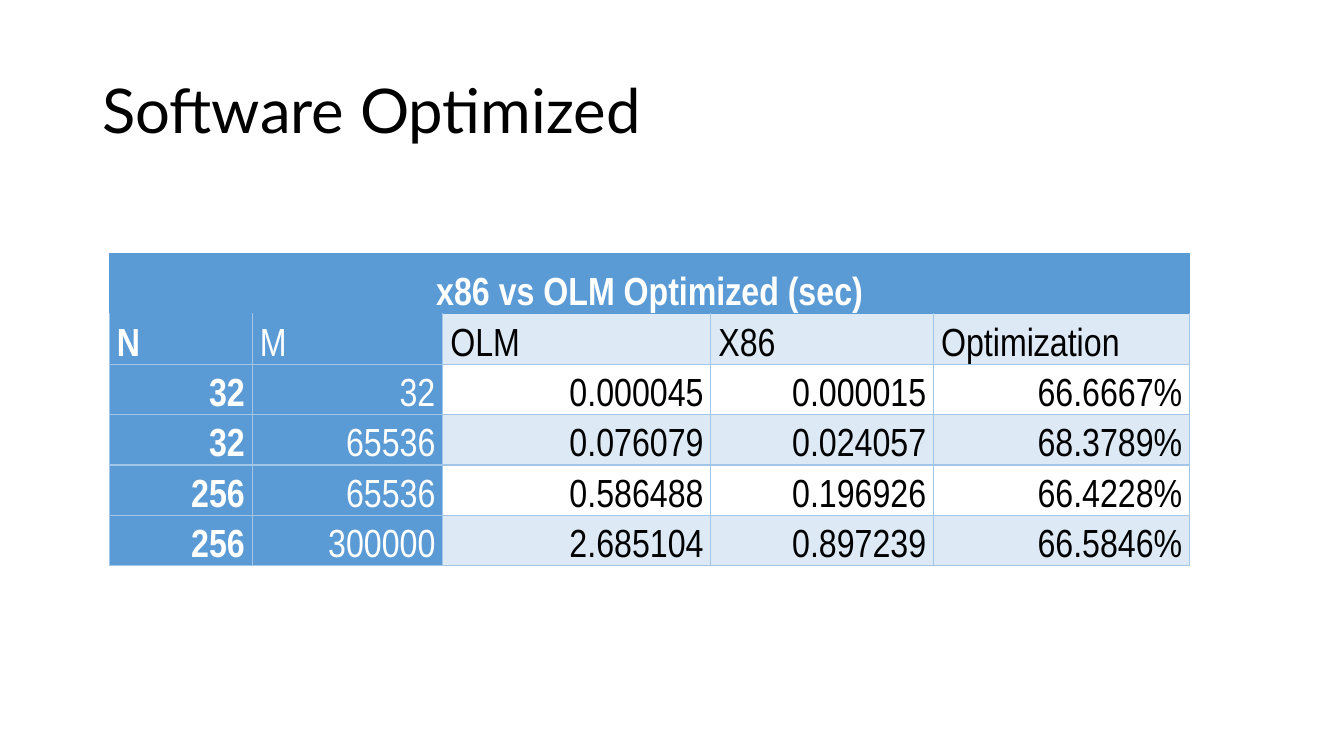
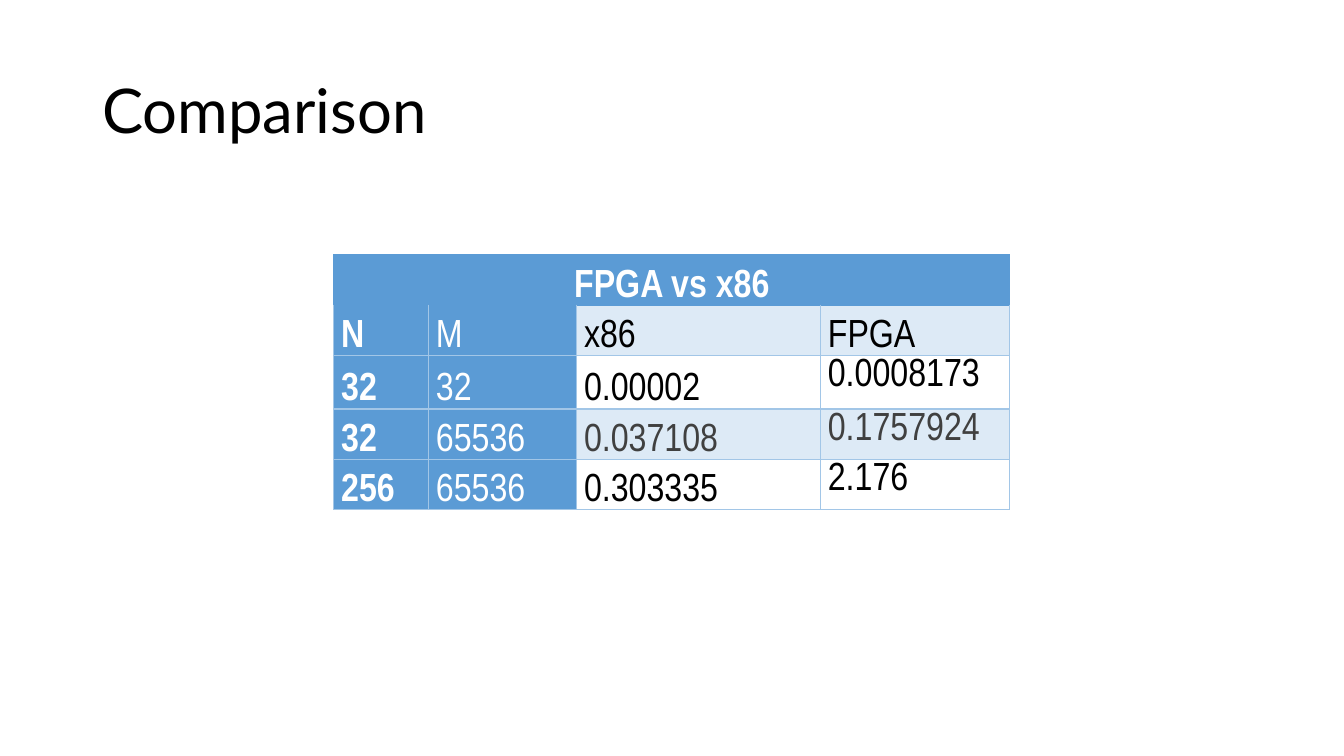
from lxml.etree import SubElement
from pptx import Presentation
from pptx.dml.color import RGBColor
from pptx.enum.text import MSO_ANCHOR, PP_ALIGN
from pptx.oxml.ns import qn
from pptx.util import Pt

HUES = {
    "blue": "5B9BD5",
    "pale": "DDEAF6",
    "line": "A2C6E7",
    "white": "FFFFFF",
    "black": "000000",
    "grey": "404040",
}
KEYS = 2  # leading columns that label each row


class Deck:
    def __init__(self):
        self.prs = Presentation()
        self.prs.slide_width, self.prs.slide_height = Pt(960), Pt(540)
        self.slide = None

    def page(self, title):
        self.slide = self.prs.slides.add_slide(self.prs.slide_layouts[6])
        box = self.slide.shapes.add_textbox(Pt(66), Pt(28.8), Pt(828), Pt(104.4))
        frame = box.text_frame
        frame.word_wrap = True
        frame.vertical_anchor = MSO_ANCHOR.MIDDLE
        para = frame.paragraphs[0]
        para.text = title
        para.line_spacing = 0.9
        self.font(para, "Lato", 44, "black")

    def font(self, para, name, size, hue, bold=False):
        font = para.font
        font.name, font.size, font.bold = name, Pt(size), bold
        font.color.rgb = RGBColor.from_string(HUES[hue])

    def edge(self, cell, **hues):
        """Draw the cell's borders; must run before the cell is filled."""
        props = cell._tc.get_or_add_tcPr()
        for side in "LRTB":
            line = SubElement(props, qn(f"a:ln{side}"), w=str(Pt(1)))
            fill = SubElement(line, qn("a:solidFill"))
            hue = HUES[hues.get(side, "line")]
            SubElement(fill, qn("a:srgbClr"), val=hue)

    def cell(self, cell, text, fill, hue, bold, align, anchor):
        cell.fill.solid()
        cell.fill.fore_color.rgb = RGBColor.from_string(HUES[fill])
        cell.margin_left = cell.margin_right = Pt(5.4)
        cell.margin_top = cell.margin_bottom = 0
        cell.vertical_anchor = anchor
        para = cell.text_frame.paragraphs[0]
        para.text = text
        para.alignment = align
        para.line_spacing = 1.07
        self.font(para, "Arial Narrow", 28, hue, bold)

    def table(self, left, top, cols, highs, title, rows,
              align=PP_ALIGN.LEFT, high_col=None, grey_row=None):
        """Add a titled grid; high_col is top-aligned, grey_row has grey values."""
        grid = [[title] + [""] * (len(cols) - 1)] + rows
        table = self.slide.shapes.add_table(
            len(grid), len(cols), Pt(left), Pt(top), Pt(sum(cols)), Pt(sum(highs))
        ).table
        table.first_row = table.horz_banding = False
        for col, width in zip(table.columns, cols):
            col.width = Pt(width)
        for row, high in zip(table.rows, highs):
            row.height = Pt(high)
        for r, row in enumerate(grid):
            for c, text in enumerate(row):
                cell = table.cell(r, c)
                key = r == 0 or c < KEYS
                body = r > 1
                fill = "blue" if key else "pale" if r % 2 else "white"
                hue = "white" if key else "grey" if r == grey_row else "black"
                if r == 0:
                    self.edge(cell, **dict.fromkeys("LRTB", "blue"))
                else:
                    self.edge(cell, T="line" if body else "blue")
                side = PP_ALIGN.CENTER if r == 0 else align if body else PP_ALIGN.LEFT
                high = body and c == high_col
                anchor = MSO_ANCHOR.TOP if high else MSO_ANCHOR.BOTTOM
                self.cell(cell, text, fill, hue, r == 0 or c == 0, side, anchor)
        table.cell(0, 0).merge(table.cell(0, len(cols) - 1))


def main():
    deck = Deck()
    deck.page("Software Optimized")
    deck.table(
        78, 181, [102.2, 136.1, 191.5, 159.1, 182.9], [43.2, 33.1] + [31.7] * 4,
        "x86 vs OLM Optimized (sec)",
        [
            ["Ν", "Μ", "OLM", "X86", "Optimization"],
            ["32", "32", "0.000045", "0.000015", "66.6667%"],
            ["32", "65536", "0.076079", "0.024057", "68.3789%"],
            ["256", "65536", "0.586488", "0.196926", "66.4228%"],
            ["256", "300000", "2.685104", "0.897239", "66.5846%"],
        ],
        align=PP_ALIGN.RIGHT,
    )
    deck.page("Comparison")
    deck.table(
        238.3, 182, [67.7, 105.8, 174.2, 135.4], [31.7, 31.7, 38.2, 31.7, 31.7],
        "FPGA vs x86",
        [
            ["Ν", "Μ", "x86", "FPGA"],
            ["32", "32", "0.00002", "0.0008173"],
            ["32", "65536", "0.037108", "0.1757924"],
            ["256", "65536", "0.303335", "2.176"],
        ],
        high_col=3, grey_row=3,
    )
    deck.prs.save("out.pptx")


if __name__ == "__main__":
    main()
